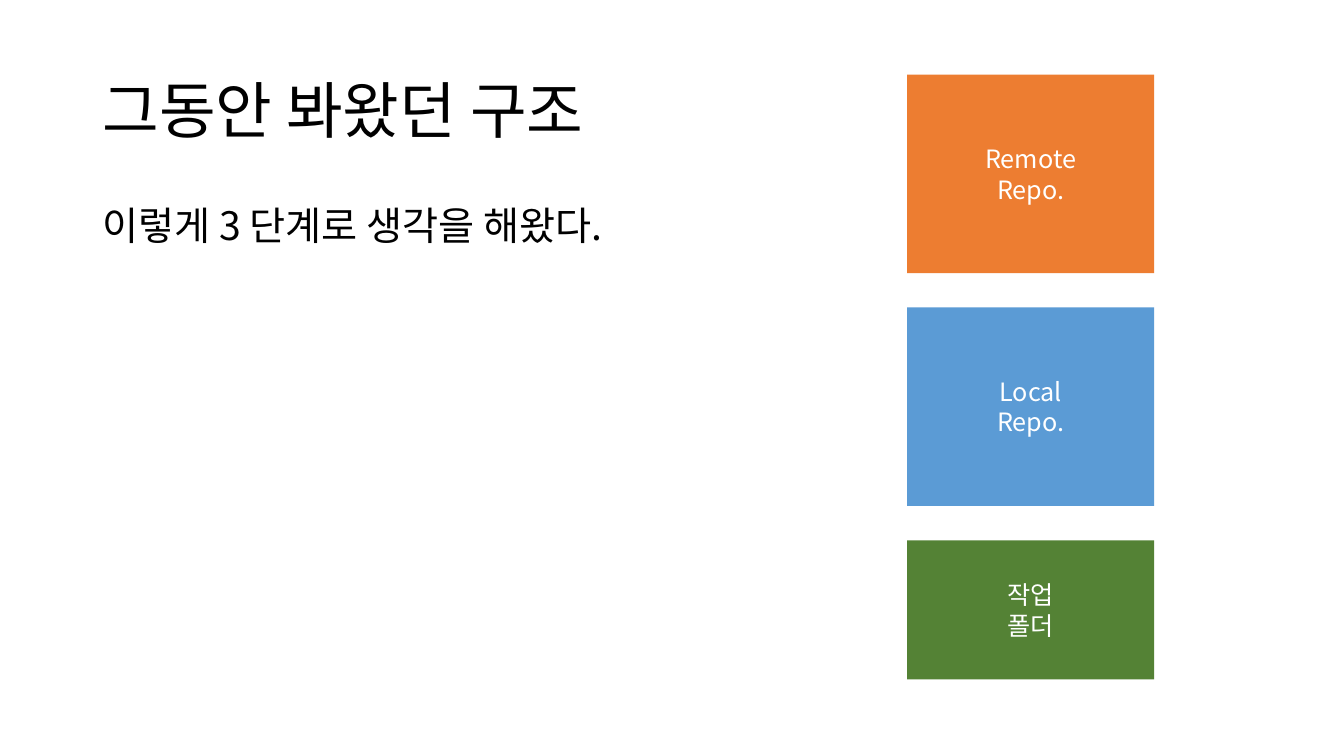
"""Build a slide showing the three-stage repository structure."""
from lxml.etree import SubElement
from pptx import Presentation
from pptx.dml.color import RGBColor
from pptx.enum.shapes import MSO_SHAPE
from pptx.enum.text import MSO_ANCHOR, PP_ALIGN
from pptx.oxml.ns import qn
from pptx.util import Pt

FONT = "Noto Sans CJK KR"
COLORS = {
    "text": "000000",
    "label": "FFFFFF",
    "remote": "ED7D31",
    "local": "5B9BD5",
    "folder": "548235",
}


def write_text(shape, text, size, color, alignment, anchor, line_spacing=1.0):
    frame = shape.text_frame
    frame.text = text
    frame.word_wrap = True
    frame.vertical_anchor = anchor
    for paragraph in frame.paragraphs:
        paragraph.alignment = alignment
        paragraph.line_spacing = line_spacing
        font = paragraph.font
        font.size = Pt(size)
        font.name = FONT
        font.color.rgb = RGBColor.from_string(COLORS[color])
        properties = paragraph._p.pPr.find(qn("a:defRPr"))
        SubElement(properties, qn("a:ea"), typeface=FONT)


presentation = Presentation()
presentation.slide_width = Pt(960)
presentation.slide_height = Pt(540)
slide = presentation.slides.add_slide(presentation.slide_layouts[5])

title = slide.shapes.title
title.left, title.top, title.width, title.height = Pt(66), Pt(28.8), Pt(828), Pt(104.4)
write_text(title, "그동안 봐왔던 구조", 44, "text", PP_ALIGN.LEFT, MSO_ANCHOR.MIDDLE, 0.9)

body = slide.shapes.add_textbox(Pt(66), Pt(144), Pt(828), Pt(342.7))
write_text(body, "이렇게 3 단계로 생각을 해왔다.", 28, "text", PP_ALIGN.LEFT, MSO_ANCHOR.TOP, 0.9)
body.text_frame.paragraphs[0].space_before = Pt(10)

stages = [
    ("Remote\nRepo.", "remote", 141.8),
    ("Local\nRepo.", "local", 141.8),
    ("작업\n폴더", "folder", 99.4),
]
stage_gap = 24.5
top = 53.3
for label, color, height in stages:
    stage = slide.shapes.add_shape(MSO_SHAPE.RECTANGLE, Pt(648), Pt(top), Pt(176.4), Pt(height))
    stage.shadow.inherit = False
    stage.fill.solid()
    stage.fill.fore_color.rgb = RGBColor.from_string(COLORS[color])
    stage.line.fill.background()
    write_text(stage, label, 18, "label", PP_ALIGN.CENTER, MSO_ANCHOR.MIDDLE)
    top += height + stage_gap

presentation.save("out.pptx")
